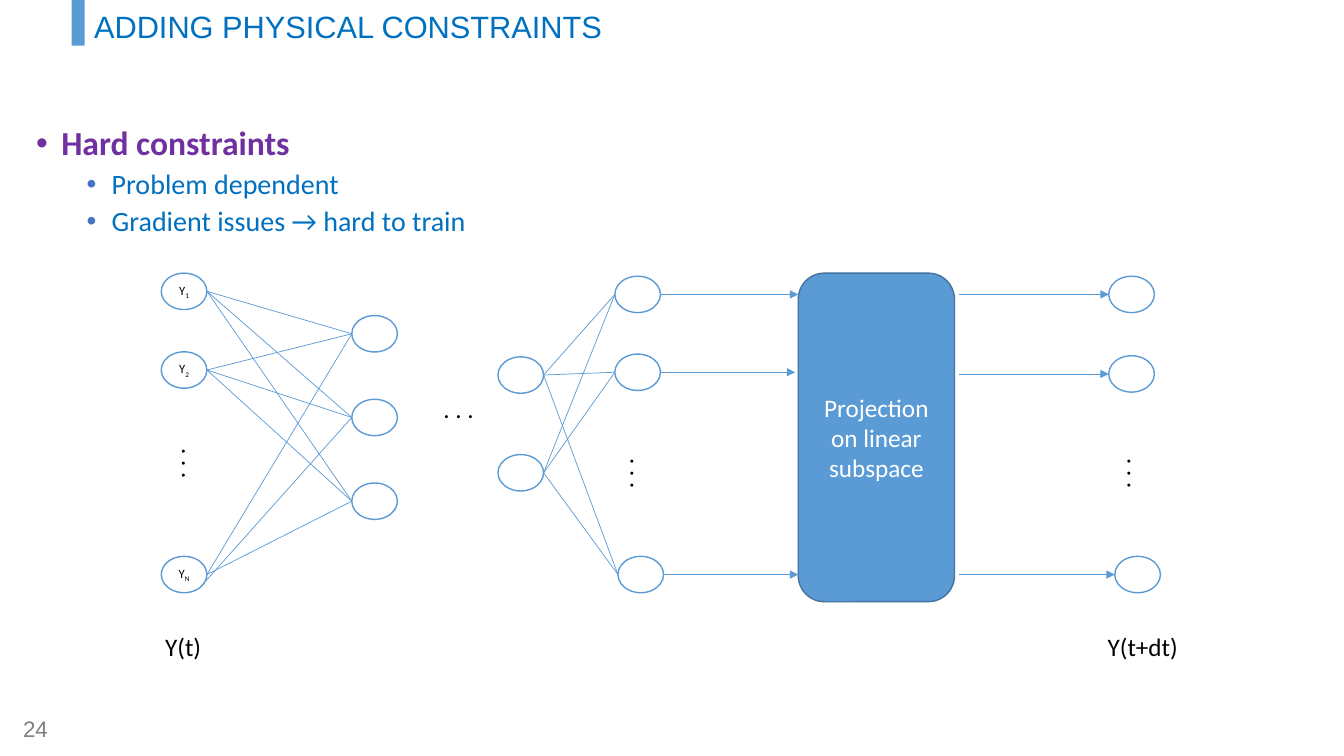
from itertools import product
from lxml.etree import SubElement
from pptx import Presentation
from pptx.dml.color import RGBColor
from pptx.enum.shapes import MSO_CONNECTOR, MSO_SHAPE
from pptx.enum.text import MSO_ANCHOR, PP_ALIGN
from pptx.oxml.ns import qn
from pptx.util import Pt

SKY = RGBColor(0x5B, 0x9B, 0xD5)
EDGE = RGBColor(0x43, 0x73, 0x9E)
BLUE = RGBColor(0x00, 0x70, 0xC0)
DOT = RGBColor(0x44, 0x72, 0xC4)
PURPLE = RGBColor(0x70, 0x30, 0xA0)
GRAY = RGBColor(0x80, 0x80, 0x80)
BLACK = RGBColor(0, 0, 0)
WHITE = RGBColor(255, 255, 255)
NODE_W, NODE_H = 32.6, 26


def add_run(para, text, size, color, face="Calibri", bold=False):
    """Add one formatted run to a paragraph."""
    run = para.add_run()
    run.text = text
    font = run.font
    font.size, font.name, font.bold = Pt(size), face, bold
    font.color.rgb = color
    return run


def add_label(slide, text, x, y, w, h, size=18, color=BLACK, face="Calibri", turn=0):
    """Add a one-line label."""
    box = slide.shapes.add_textbox(Pt(x), Pt(y), Pt(w), Pt(h))
    box.rotation = turn
    add_run(box.text_frame.paragraphs[0], text, size, color, face)


def add_block(slide, kind, x, y, w, h, fill, line=None):
    """Add a filled shape with an optional outline."""
    shape = slide.shapes.add_shape(kind, Pt(x), Pt(y), Pt(w), Pt(h))
    shape.shadow.inherit = False
    shape.fill.solid()
    shape.fill.fore_color.rgb = fill
    if line is None:
        shape.line.fill.background()
    else:
        shape.line.color.rgb = line
        shape.line.width = Pt(1)
    frame = shape.text_frame
    frame.vertical_anchor = MSO_ANCHOR.MIDDLE
    frame.paragraphs[0].alignment = PP_ALIGN.CENTER
    return shape


def add_node(slide, x, y, sub=""):
    """Add a neuron, with a subscripted Y if it is named."""
    node = add_block(slide, MSO_SHAPE.OVAL, x, y, NODE_W, NODE_H, WHITE, SKY)
    if sub:
        node.text_frame.word_wrap = False
        para = node.text_frame.paragraphs[0]
        add_run(para, "Y", 9, BLACK)
        low = add_run(para, sub, 9, BLACK)
        low.font._element.set("baseline", "-25000")


def add_link(slide, start, end, arrow=False):
    """Join two points with a thin line or arrow."""
    link = slide.shapes.add_connector(MSO_CONNECTOR.STRAIGHT, *map(Pt, start + end))
    link.line.color.rgb = SKY
    link.line.width = Pt(0.5)
    if arrow:
        SubElement(link.line._get_or_add_ln(), qn("a:tailEnd"), type="triangle")
    SubElement(link._element.spPr, qn("a:effectLst"))


def left_of(node):
    """Return the left tip of a neuron."""
    return node[0], node[1] + NODE_H / 2


def right_of(node):
    """Return the right tip of a neuron."""
    return node[0] + NODE_W, node[1] + NODE_H / 2


def add_head(slide, x, y, w, h):
    """Place the title and its accent bar."""
    add_block(slide, MSO_SHAPE.RECTANGLE, x, y, 9.2, 32.6, SKY)
    title = slide.shapes.title
    title.left, title.top = Pt(x + 8.8), Pt(y)
    title.width, title.height = Pt(w - 8.8), Pt(h)
    frame = title.text_frame
    frame.vertical_anchor = MSO_ANCHOR.MIDDLE
    para = frame.paragraphs[0]
    para.alignment = PP_ALIGN.LEFT
    para.line_spacing = 0.9
    add_run(para, "ADDING PHYSICAL CONSTRAINTS", 22, BLUE, "Arial")


def add_points(slide, x, y, w, h):
    """Place the bulleted text."""
    frame = slide.shapes.add_textbox(Pt(x), Pt(y), Pt(w), Pt(h)).text_frame
    frame.word_wrap = True
    points = [
        ("Hard constraints", 0, 24, PURPLE, PURPLE),
        ("Problem dependent", 1, 20, BLUE, DOT),
        ("Gradient issues → hard to train", 1, 20, BLUE, DOT),
    ]
    for i, (text, level, size, color, mark) in enumerate(points):
        para = frame.add_paragraph() if i else frame.paragraphs[0]
        para.level = level
        props = para._p.get_or_add_pPr()
        props.set("marL", str(Pt(18 + 36 * level)))
        props.set("indent", str(Pt(-18)))
        tint = SubElement(props, qn("a:buClr"))
        SubElement(tint, qn("a:srgbClr"), val=str(mark))
        SubElement(props, qn("a:buFont"), typeface="Arial")
        SubElement(props, qn("a:buChar"), char="•")
        para.line_spacing = 0.9
        para.space_before = Pt(5 if i else 0)
        add_run(para, text, size, color, bold=level == 0)


def add_net(slide, x, y, w, h):
    """Place the network, the projection block and the results."""
    first = [(x, y + dy) for dy in (0, 56.2, 202.3)]
    second = [(x + 136.1, y + 30.3 + 59.8 * i) for i in range(3)]
    third = [(x + 240.5, y + dy) for dy in (59.8, 129.6)]
    fourth = [(x + dx, y + dy) for dx, dy in ((324, 2.2), (324, 57.8), (326.2, 202.3))]
    last = [(x + dx, y + dy) for dx, dy in ((676.8, 2.2), (676.8, 59), (681.1, 202.3))]

    for node, sub in zip(first, "12N"):
        add_node(slide, *node, sub)
    for node in second + third + fourth + last:
        add_node(slide, *node)

    for a, b in product(first, second):
        low = a == first[2] and b == second[1]
        start = (x + 27.6, y + 224.6) if low else right_of(a)
        add_link(slide, start, left_of(b))
    for a, b in product(third, fourth):
        add_link(slide, right_of(a), left_of(b))

    wall = x + 455
    block = add_block(slide, MSO_SHAPE.ROUNDED_RECTANGLE, wall, y, 111.6, h, SKY, EDGE)
    block.text_frame.word_wrap = True
    add_run(block.text_frame.paragraphs[0], "Projection on linear subspace", 18, WHITE)
    for node, gap in zip(fourth, (0, 2.2, 0)):
        start = right_of(node)
        add_link(slide, start, (wall - gap, start[1]), True)
    for node in last:
        end = left_of(node)
        add_link(slide, (wall + 114.5, end[1]), end, True)

    for dx, dy, turn in ((194.4, 82.1, 0), (3.6, 122.4, 90), (324, 129, 90), (679, 129, 90)):
        add_label(slide, ". . .", x + dx, y + dy, 36.7, 28.8, turn=turn)
    add_label(slide, "Y(t)", x - 4.3, y + 252, 40.3, 28.8)
    add_label(slide, "Y(t+dt)", x + w - 44.6, y + 252, 65.5, 28.8)


def main():
    """Build and save the slide."""
    deck = Presentation()
    deck.slide_width, deck.slide_height = Pt(960), Pt(540)
    slide = deck.slides.add_slide(deck.slide_layouts[5])
    add_head(slide, 51.2, 0, 864, 40.3)
    add_points(slide, 18.7, 87.1, 896.4, 132.5)
    add_net(slide, 115.2, 195.1, 713.5, 234.7)
    add_label(slide, "24", 9.4, 507.6, 46.1, 26.6, 16, GRAY, "Arial")
    deck.save("out.pptx")


if __name__ == "__main__":
    main()
